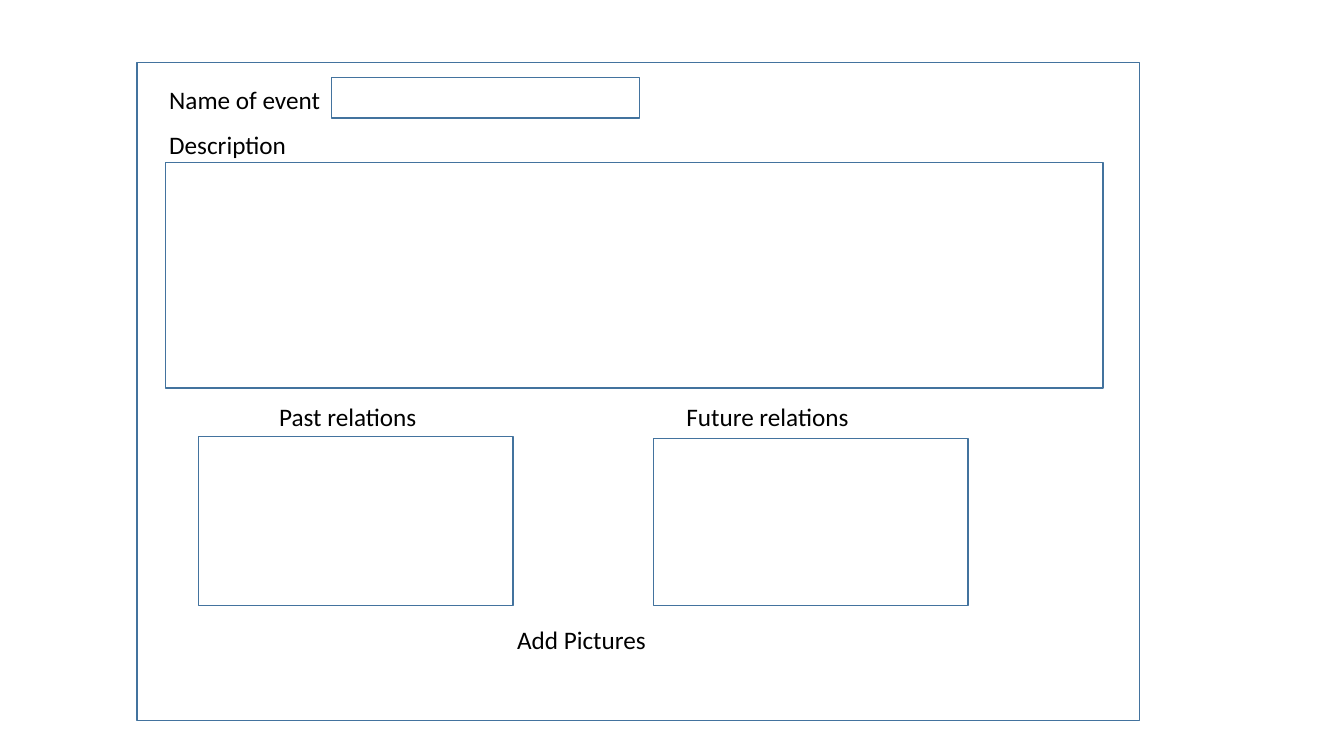
from dataclasses import dataclass

from pptx import Presentation
from pptx.dml.color import RGBColor
from pptx.enum import shapes, text
from pptx.util import Inches, Pt


@dataclass(frozen=True)
class Theme:
    font: str = "Calibri"
    label_size: float = 18
    label_color: str = "000000"
    line_color: str = "43739E"
    line_width: float = 1


THEME = Theme()

# Content: left, top, width, height in inches
BOXES = {
    "form frame": (1.36, 0.62, 9.94, 6.53),
    "description": (1.64, 1.61, 9.3, 2.24),
    "event name": (3.29, 0.77, 3.05, 0.4),
    "past relations": (1.97, 4.33, 3.12, 1.68),
    "future relations": (6.48, 4.35, 3.12, 1.66),
}
LABELS = [
    ("Name of event", (1.58, 0.79, 1.72, 0.4)),
    ("Description", (1.58, 1.23, 1.38, 0.4)),
    ("Past relations", (2.67, 3.93, 1.58, 0.4)),
    ("Add Pictures", (5.03, 6.14, 1.49, 0.4)),
    ("Future relations", (6.71, 3.93, 1.83, 0.4)),
]


def add_box(slide, bounds):
    box = slide.shapes.add_shape(shapes.MSO_SHAPE.RECTANGLE, *map(Inches, bounds))
    box.shadow.inherit = False
    box.fill.background()
    box.line.color.rgb = RGBColor.from_string(THEME.line_color)
    box.line.width = Pt(THEME.line_width)


def add_label(slide, wording, bounds):
    label = slide.shapes.add_textbox(*map(Inches, bounds))
    frame = label.text_frame
    frame.word_wrap = False
    frame.auto_size = text.MSO_AUTO_SIZE.NONE
    frame.text = wording
    font = frame.paragraphs[0].runs[0].font
    font.name = THEME.font
    font.size = Pt(THEME.label_size)
    font.color.rgb = RGBColor.from_string(THEME.label_color)


def main():
    presentation = Presentation()
    presentation.slide_width = Inches(13.33)
    presentation.slide_height = Inches(7.5)
    blank_layout = presentation.slide_layouts[6]
    slide = presentation.slides.add_slide(blank_layout)

    # Outlined frame and input fields
    for bounds in BOXES.values():
        add_box(slide, bounds)

    # Form labels
    for wording, bounds in LABELS:
        add_label(slide, wording, bounds)

    presentation.save("out.pptx")


if __name__ == "__main__":
    main()
